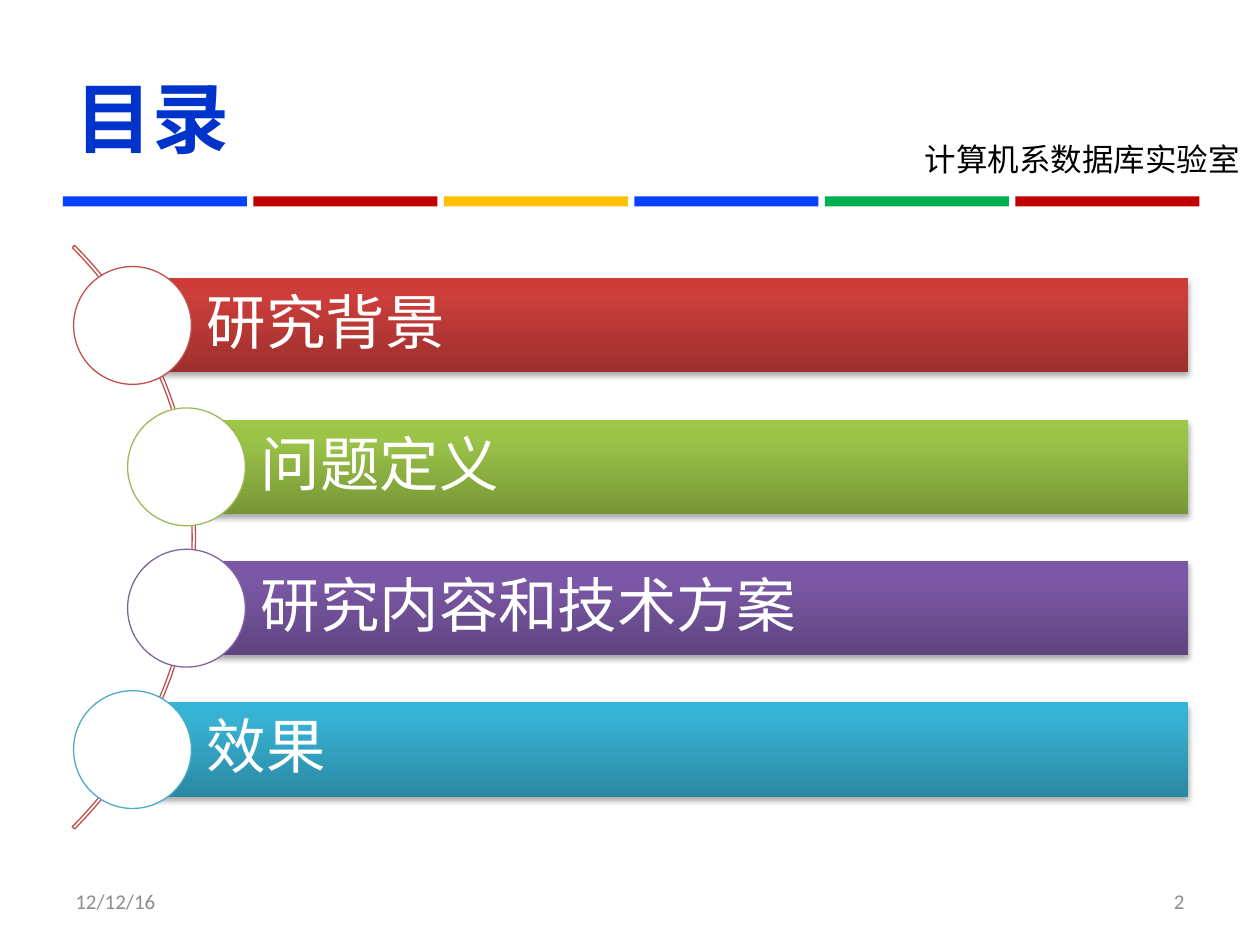
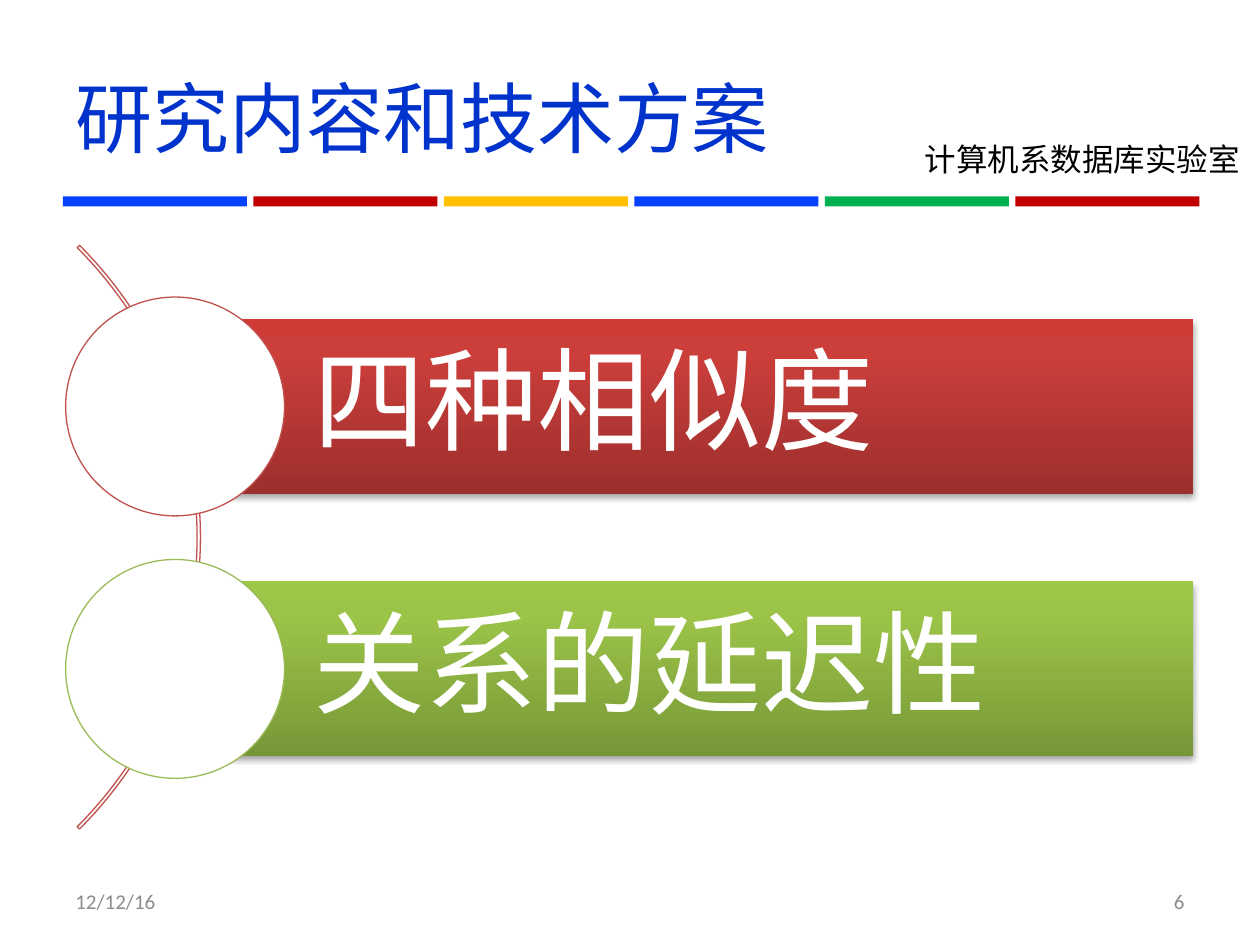
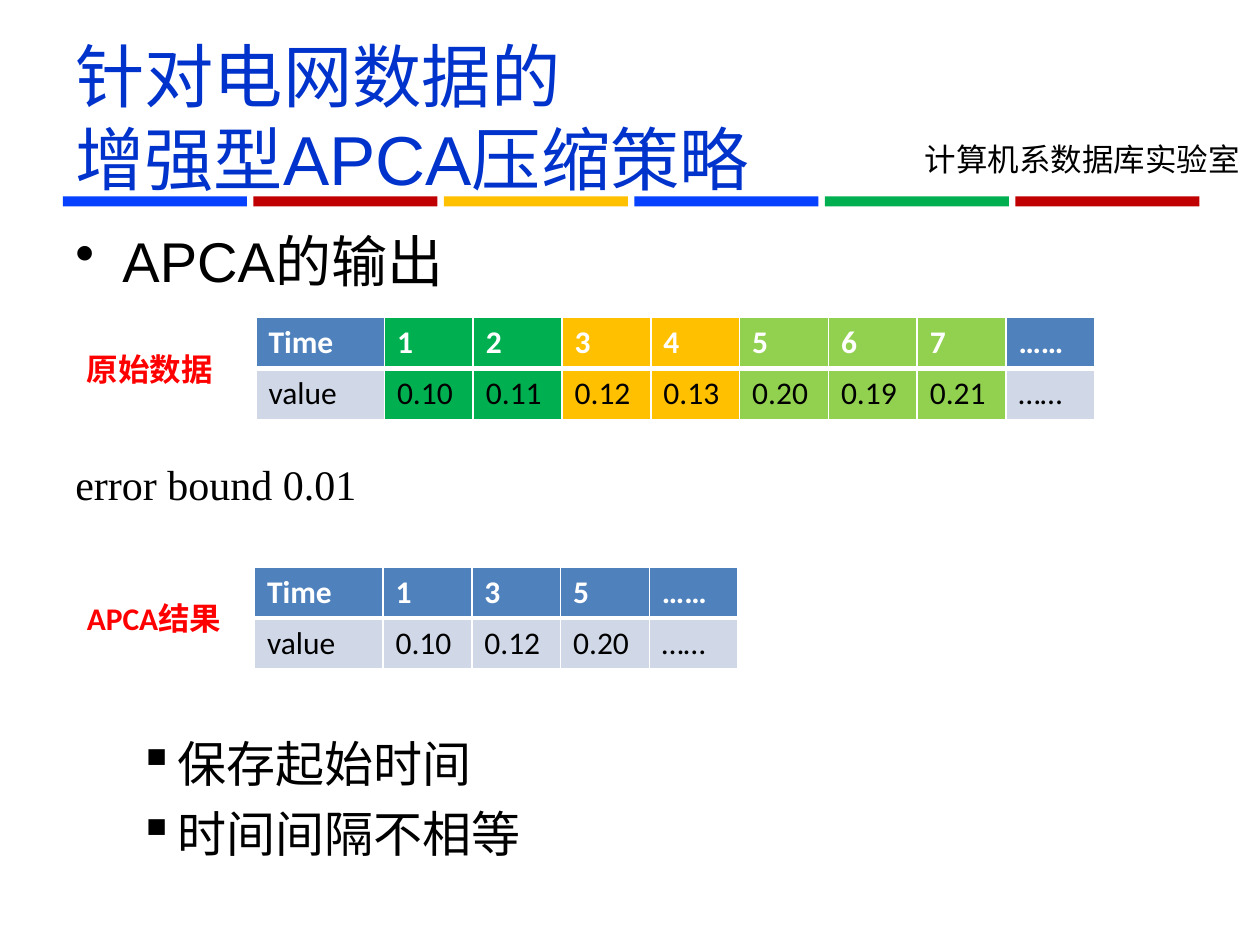
from pptx import Presentation
from pptx.dml.color import RGBColor
from pptx.enum.shapes import MSO_SHAPE
from pptx.enum.text import MSO_ANCHOR, PP_ALIGN
from pptx.oxml import parse_xml
from pptx.oxml.ns import nsdecls, qn
from pptx.util import Cm, Pt

RECT, OVAL, ARC = MSO_SHAPE.RECTANGLE, MSO_SHAPE.OVAL, MSO_SHAPE.BLOCK_ARC
LEFT, RIGHT = PP_ALIGN.LEFT, PP_ALIGN.RIGHT
TOP, MIDDLE = MSO_ANCHOR.TOP, MSO_ANCHOR.MIDDLE
NS = nsdecls("a")


class Theme:
    white, black, gray, red = "FFFFFF", "000000", "8C8C8C", "FF0000"
    title, arc = "0033CC", "C0504D"
    stripes = ["0541FF", "C00000", "FFC000", "0541FF", "00B050", "C00000"]
    bars = [("9C2F2D", "CB3E3A", "CE3B37"), ("779737", "9BC348", "9DC746"),
            ("5F4480", "7B58A6", "7C57A8"), ("2A88A2", "37B1D2", "34B4D6")]
    rings = ["C0504D", "9BBB59", "8064A2", "4BACC6"]
    head, cell = "4F81BD", "D0D8E8"
    green, gold, lime = "00B050", "FFC000", "92D050"
    sans, body, serif, cjk = "Arial", "Calibri", "Times New Roman", "Noto Sans CJK SC"
    big, mid, small, tiny = 44, 39.6, 18, 12
    lead, point, note = 32, 28, 24


def style(para, text, size, color, face, bold=False):
    para.text = text
    font = para.font
    font.size, font.bold, font.name = Pt(size), bold, face
    font.color.rgb = RGBColor.from_string(color)
    props = para._p.pPr.find(qn("a:defRPr"))
    props.append(parse_xml(f'<a:ea {NS} typeface="{face}"/>'))


def label(slide, place, text, size, color, face, bold=False,
          align=LEFT, anchor=TOP, wrap=True):
    frame = slide.shapes.add_textbox(*map(Cm, place)).text_frame
    frame.word_wrap, frame.vertical_anchor = wrap, anchor
    para = frame.paragraphs[0]
    style(para, text, size, color, face, bold)
    para.alignment = align


deck = Presentation()
deck.slide_width, deck.slide_height = Cm(25.4), Cm(19.05)

heads = [("目录", Theme.big, Theme.cjk, True),
         ("研究内容和技术方案", Theme.big, Theme.sans, False),
         ("针对电网数据的\v增强型APCA压缩策略", Theme.mid, Theme.sans, False)]
slides = []
for text, size, face, bold in heads:
    slide = deck.slides.add_slide(deck.slide_layouts[6])
    slides.append(slide)
    label(slide, (18.39, 2.69, 7.19, 1.02), "计算机系数据库实验室",
          Theme.small, Theme.black, Theme.body, wrap=False)
    for i, color in enumerate(Theme.stripes):
        stripe = slide.shapes.add_shape(
            RECT, Cm(1.27 + 3.84 * i), Cm(3.96), Cm(3.71), Cm(0.2))
        stripe.shadow.inherit = False
        stripe.fill.solid()
        stripe.fill.fore_color.rgb = RGBColor.from_string(color)
        stripe.line.fill.background()
    label(slide, (1.27, 0.76, 22.86, 3.18), text, size, Theme.title, face,
          bold, anchor=MIDDLE)

lists = [
    dict(page="2", arc=-12.7, top=5.61, step=2.85, tall=1.9, right=23.95,
         inset=1.5, pad=0.23, size=34,
         items=[("研究背景", 2.67), ("问题定义", 3.76),
                ("研究内容和技术方案", 3.76), ("效果", 2.67)]),
    dict(page="6", arc=-12.6, top=6.43, step=5.29, tall=3.53, right=24.05,
         inset=2.79, pad=0.46, size=64,
         items=[("四种相似度", 3.53), ("关系的延迟性", 3.53)]),
]
for slide, plan in zip(slides, lists):
    shapes = slide.shapes
    arc = shapes.add_shape(ARC, Cm(plan["arc"]), Cm(2.51), Cm(16.64), Cm(16.64))
    for i, value in enumerate((189, 27, 0.004)):
        arc.adjustments[i] = value
    arc.shadow.inherit = False
    arc.fill.background()
    arc.line.color.rgb = RGBColor.from_string(Theme.arc)
    arc.line.width = Pt(0.75)

    tall = plan["tall"]
    wide = tall * 1.25
    for i, (text, left) in enumerate(plan["items"]):
        top = plan["top"] + plan["step"] * i
        bar = shapes.add_shape(
            RECT, Cm(left), Cm(top), Cm(plan["right"] - left), Cm(tall))
        bar.line.fill.background()
        stops = "".join(
            f'<a:gs pos="{pos}000"><a:srgbClr val="{color}"/></a:gs>'
            for pos, color in zip((0, 80, 100), Theme.bars[i]))
        edge = bar._element.spPr.find(qn("a:ln"))
        edge.addprevious(parse_xml(
            f'<a:gradFill {NS} rotWithShape="1"><a:gsLst>{stops}</a:gsLst>'
            '<a:lin ang="16200000" scaled="0"/></a:gradFill>'))
        edge.addnext(parse_xml(
            f'<a:effectLst {NS}><a:outerShdw blurRad="{Pt(3.1)}" '
            f'dist="{Pt(1.8)}" dir="5400000" rotWithShape="0">'
            f'<a:srgbClr val="{Theme.black}"><a:alpha val="35000"/></a:srgbClr>'
            '</a:outerShdw></a:effectLst>'))
        frame = bar.text_frame
        frame.word_wrap, frame.vertical_anchor = True, MIDDLE
        frame.margin_left = Cm(plan["inset"])
        frame.margin_top = frame.margin_right = frame.margin_bottom = Cm(plan["pad"])
        para = frame.paragraphs[0]
        style(para, text, plan["size"], Theme.white, Theme.body)
        para.alignment, para.line_spacing = LEFT, 0.9

        ring = shapes.add_shape(OVAL, Cm(left - wide / 2),
                                Cm(top + (tall - wide) / 2), Cm(wide), Cm(wide))
        ring.shadow.inherit = False
        ring.fill.solid()
        ring.fill.fore_color.rgb = RGBColor.from_string(Theme.white)
        ring.line.color.rgb = RGBColor.from_string(Theme.rings[i])
        ring.line.width = Pt(0.75)

    for left, text, align in ((1.27, "12/12/16", LEFT), (18.21, plan["page"], RIGHT)):
        label(slide, (left, 17.65, 5.92, 1.02), text, Theme.tiny, Theme.gray,
              Theme.body, align=align, anchor=MIDDLE)

slide = slides[2]
frame = slide.shapes.add_textbox(Cm(1.27), Cm(4.45), Cm(22.86), Cm(13.49)).text_frame
frame.word_wrap = True
lines = [("APCA的输出", Theme.lead, Theme.sans, 7.4, "•", 0.95, 0.95),
         ("error bound 0.01", Theme.note, Theme.serif, 94, None, 0, 0),
         ("保存起始时间", Theme.point, Theme.sans, 128, "▪", 2.06, 0.79),
         ("时间间隔不相等", Theme.point, Theme.sans, 6.4, "▪", 2.06, 0.79)]
for i, (text, size, face, gap, mark, left, hang) in enumerate(lines):
    para = frame.add_paragraph() if i else frame.paragraphs[0]
    style(para, text, size, Theme.black, face)
    para.space_before = Pt(gap)
    if mark:
        props = para._p.pPr
        props.set("marL", str(Cm(left)))
        props.set("indent", str(Cm(-hang)))
        props.find(qn("a:defRPr")).addprevious(
            parse_xml(f'<a:buChar {NS} char="{mark}"/>'))

tints = [Theme.green] * 2 + [Theme.gold] * 2 + [Theme.lime] * 3
grids = [
    (5.16, 6.4, [None, *tints, None],
     [["Time", "1", "2", "3", "4", "5", "6", "7", "……"],
      ["value", "0.10", "0.11", "0.12", "0.13", "0.20", "0.19", "0.21", "……"]]),
    (5.13, 11.43, [None] * 5,
     [["Time", "1", "3", "5", "……"],
      ["value", "0.10", "0.12", "0.20", "……"]]),
]
looks = [(Theme.head, Theme.white, True, (1, 1, 1, 3)),
         (Theme.cell, Theme.black, False, (1, 1, 3, 1))]
for left, top, fills, rows in grids:
    wides = [2.59] + [1.79] * (len(fills) - 1)
    table = slide.shapes.add_table(
        2, len(fills), Cm(left), Cm(top), Cm(sum(wides)), Cm(2.06)).table
    table.horz_banding = False
    for column, wide in zip(table.columns, wides):
        column.width = Cm(wide)
    for row, texts, (base, ink, bold, edges) in zip(table.rows, rows, looks):
        for cell, text, fill in zip(row.cells, texts, fills):
            style(cell.text_frame.paragraphs[0], text, Theme.small, ink,
                  Theme.body, bold)
            cell.fill.solid()
            cell.fill.fore_color.rgb = RGBColor.from_string(fill or base)
            props = cell._tc.tcPr
            for i, (side, width) in enumerate(zip("LRTB", edges)):
                props.insert(i, parse_xml(
                    f'<a:ln{side} {NS} w="{Pt(width)}"><a:solidFill>'
                    f'<a:srgbClr val="{Theme.white}"/></a:solidFill></a:ln{side}>'))

for top, text in ((6.93, "原始数据"), (11.96, "APCA结果")):
    label(slide, (1.5, top, 3.25, 1.02), text, Theme.small, Theme.red,
          Theme.body, True)

deck.save("out.pptx")
